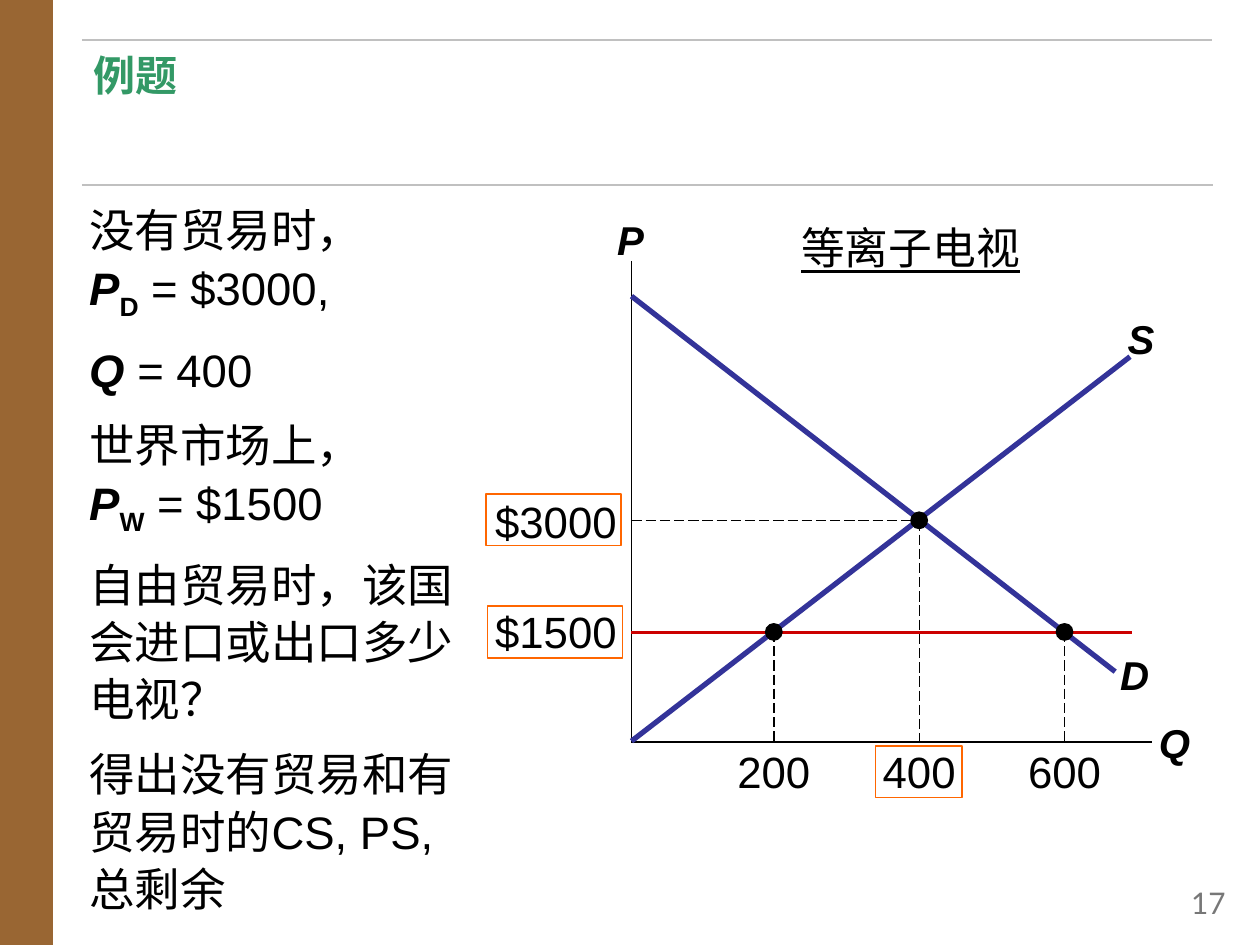
"""Build the slide on trade in plasma televisions with its supply and demand diagram."""
from typing import NamedTuple

from lxml.etree import SubElement
from pptx import Presentation
from pptx.dml.color import RGBColor
from pptx.enum.dml import MSO_LINE
from pptx.enum.shapes import MSO_CONNECTOR, MSO_SHAPE
from pptx.enum.text import MSO_ANCHOR as ANCHOR, PP_ALIGN as ALIGN
from pptx.oxml.ns import qn
from pptx.util import Cm, Pt

BROWN = RGBColor(0x99, 0x66, 0x33)
GREEN = RGBColor(0x33, 0x99, 0x66)
SILVER = RGBColor(0xC0, 0xC0, 0xC0)
GRAY = RGBColor(0x77, 0x77, 0x77)
BLACK = RGBColor(0, 0, 0)
BLUE = RGBColor(0x33, 0x33, 0x99)
RED = RGBColor(0xCC, 0, 0)
ORANGE = RGBColor(0xFF, 0x66, 0)

ORIGIN_X, ORIGIN_Y = 12.73, 14.96
DOT = 0.36
LABEL_H = 1.07


class Box(NamedTuple):
    left: float
    top: float
    width: float
    height: float


class Style(NamedTuple):
    size: float
    color: RGBColor = BLACK
    name: str = "Arial"
    bold: bool = False
    italic: bool = False
    underline: bool = False


class Segment(NamedTuple):
    x1: float
    y1: float
    x2: float
    y2: float
    color: RGBColor = BLACK
    width: float = 0.75
    dashed: bool = False


class Fact(NamedTuple):
    lead: str
    symbol: str
    sub: str
    rest: str


class Point(NamedTuple):
    x: float
    y: float
    quantity: str


AXIS_STYLE = Style(23, bold=True, italic=True)
VALUE_STYLE = Style(25)
BODY_STYLE = Style(26)

RULES = [Segment(1.65, 3.73, 24.46, 3.73, SILVER, 1), Segment(1.65, 0.81, 24.43, 0.81, SILVER, 1)]
DIAGRAM = [
    Segment(ORIGIN_X, 5.26, ORIGIN_X, ORIGIN_Y),
    Segment(ORIGIN_X, ORIGIN_Y, 23.22, ORIGIN_Y),
    Segment(ORIGIN_X, 5.97, 22.48, 13.54, BLUE, 3),
    Segment(ORIGIN_X, 14.94, 22.78, 7.19, BLUE, 3),
    Segment(ORIGIN_X, 12.75, 22.83, 12.75, RED, 2.25),
    Segment(ORIGIN_X, 10.49, 18.54, 10.49, dashed=True),
]
POINTS = [Point(15.6, 12.74, "200"), Point(18.53, 10.49, "400"), Point(21.46, 12.74, "600")]
LETTERS = {"P": (12.19, 4.22), "Q": (23.11, 14.35), "D": (22.33, 12.98), "S": (22.48, 6.2)}
PRICES = {"$1500": 12.19, "$3000": 9.96}
HIGHLIGHTS = [Box(17.65, 15.04, 1.75, 1.04), Box(9.8, 9.96, 2.72, 1.04), Box(9.83, 12.22, 2.72, 1.04)]
FACTS = [
    Fact("没有贸易时，", "P", "D", " = $3000,"),
    Fact("", "Q", "", " = 400"),
    Fact("世界市场上，", "P", "W", " = $1500"),
    Fact("自由贸易时，该国会进口或出口多少电视？", "", "", ""),
    Fact("得出没有贸易和有贸易时的CS, PS, 总剩余", "", "", ""),
]


def set_font(p, style: Style) -> None:
    font = p.font
    font.name, font.size = style.name, Pt(style.size)
    font.bold, font.italic, font.underline = style.bold, style.italic, style.underline
    font.color.rgb = style.color


def add_text(slide, box: Box, text: str, style: Style, align=ALIGN.LEFT, anchor=ANCHOR.TOP,
             insets: tuple = (0.25, 0.13, 0.25, 0.13)):
    tf = slide.shapes.add_textbox(*map(Cm, box)).text_frame
    tf.word_wrap, tf.vertical_anchor = True, anchor
    tf.margin_left, tf.margin_top, tf.margin_right, tf.margin_bottom = map(Cm, insets)
    p = tf.paragraphs[0]
    p.text, p.alignment = text, align
    set_font(p, style)
    return tf


def add_segment(slide, seg: Segment) -> None:
    ends = map(Cm, (seg.x1, seg.y1, seg.x2, seg.y2))
    line = slide.shapes.add_connector(MSO_CONNECTOR.STRAIGHT, *ends)
    line.line.color.rgb, line.line.width = seg.color, Pt(seg.width)
    if seg.dashed:
        line.line.dash_style = MSO_LINE.LONG_DASH
    SubElement(line._element.spPr, qn("a:effectLst"))


def add_solid(slide, kind: MSO_SHAPE, box: Box, color: RGBColor) -> None:
    sp = slide.shapes.add_shape(kind, *map(Cm, box))
    sp.shadow.inherit = False
    sp.fill.solid()
    sp.fill.fore_color.rgb = color
    sp.line.fill.background()


def add_highlight(slide, box: Box) -> None:
    sp = slide.shapes.add_shape(MSO_SHAPE.RECTANGLE, *map(Cm, box))
    sp.shadow.inherit = False
    sp.fill.background()
    sp.line.color.rgb, sp.line.width = ORANGE, Pt(1)


def add_fact(p, fact: Fact) -> None:
    set_font(p, BODY_STYLE)
    p.line_spacing, p.space_before = 1.05, Pt(10)
    if fact.lead:
        p.add_run().text = fact.lead
    if fact.lead and fact.symbol:
        p.add_line_break()
    if fact.symbol:
        r = p.add_run()
        r.text, r.font.bold, r.font.italic = fact.symbol, True, True
    if fact.sub:
        r = p.add_run()
        r.text, r.font.bold = fact.sub, True
        r.font._element.set("baseline", "-25000")
    if fact.rest:
        p.add_run().text = fact.rest


def add_point(slide, point: Point) -> None:
    add_segment(slide, Segment(point.x, point.y, point.x, ORIGIN_Y, dashed=True))
    add_solid(slide, MSO_SHAPE.OVAL, Box(point.x - DOT / 2, point.y - DOT / 2, DOT, DOT), BLACK)
    add_text(slide, Box(point.x - 1.04, 15.01, 2.08, LABEL_H), point.quantity, VALUE_STYLE,
             ALIGN.CENTER, ANCHOR.MIDDLE, (0.25, 0, 0.25, 0))


def main() -> None:
    prs = Presentation()
    prs.slide_width, prs.slide_height = Cm(25.4), Cm(19.05)
    s = prs.slides.add_slide(prs.slide_layouts[6])

    add_solid(s, MSO_SHAPE.RECTANGLE, Box(0, 0, 1.07, 19.05), BROWN)
    add_text(s, Box(1.63, 0.99, 22.81, 2.64), "例题", Style(24, GREEN, "Lato", bold=True),
             insets=(0.25, 0, 0.25, 0))
    add_text(s, Box(23.06, 17.7, 1.9, 1.02), "17", Style(17, GRAY, "Lato"), ALIGN.RIGHT)

    tf = add_text(s, Box(1.55, 3.89, 8.13, 14.66), "", BODY_STYLE)
    for i, fact in enumerate(FACTS):
        add_fact(tf.add_paragraph() if i else tf.paragraphs[0], fact)

    for seg in RULES + DIAGRAM:
        add_segment(s, seg)
    for letter, (left, top) in LETTERS.items():
        add_text(s, Box(left, top, 1.02, 1.22), letter, AXIS_STYLE, ALIGN.CENTER)
    for price, top in PRICES.items():
        add_text(s, Box(9.73, top, 2.95, LABEL_H), price, VALUE_STYLE,
                 ALIGN.RIGHT, ANCHOR.MIDDLE, (0, 0, 0.25, 0))
    for point in POINTS:
        add_point(s, point)
    add_text(s, Box(15.7, 4.45, 5.31, LABEL_H), "等离子电视", VALUE_STYLE._replace(underline=True),
             ALIGN.CENTER, ANCHOR.MIDDLE, (0, 0, 0, 0))
    for box in HIGHLIGHTS:
        add_highlight(s, box)

    prs.save("out.pptx")


if __name__ == "__main__":
    main()
